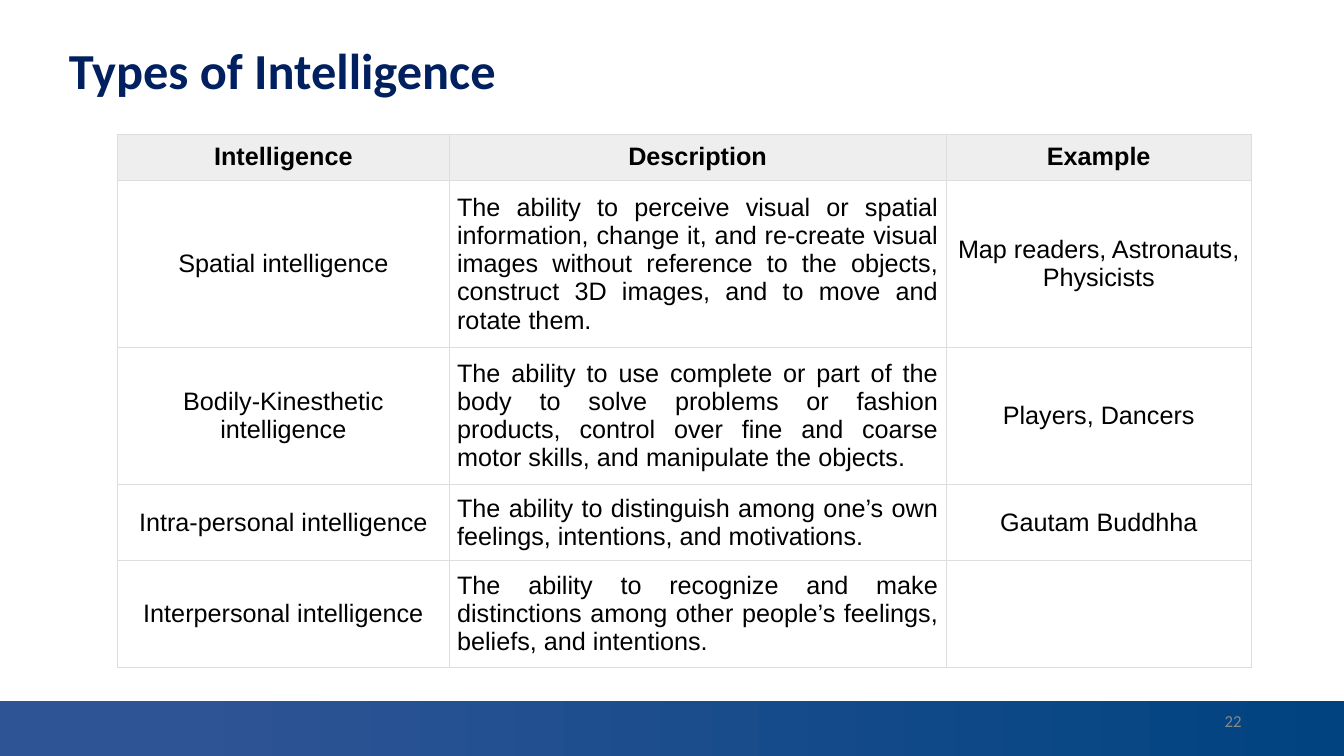
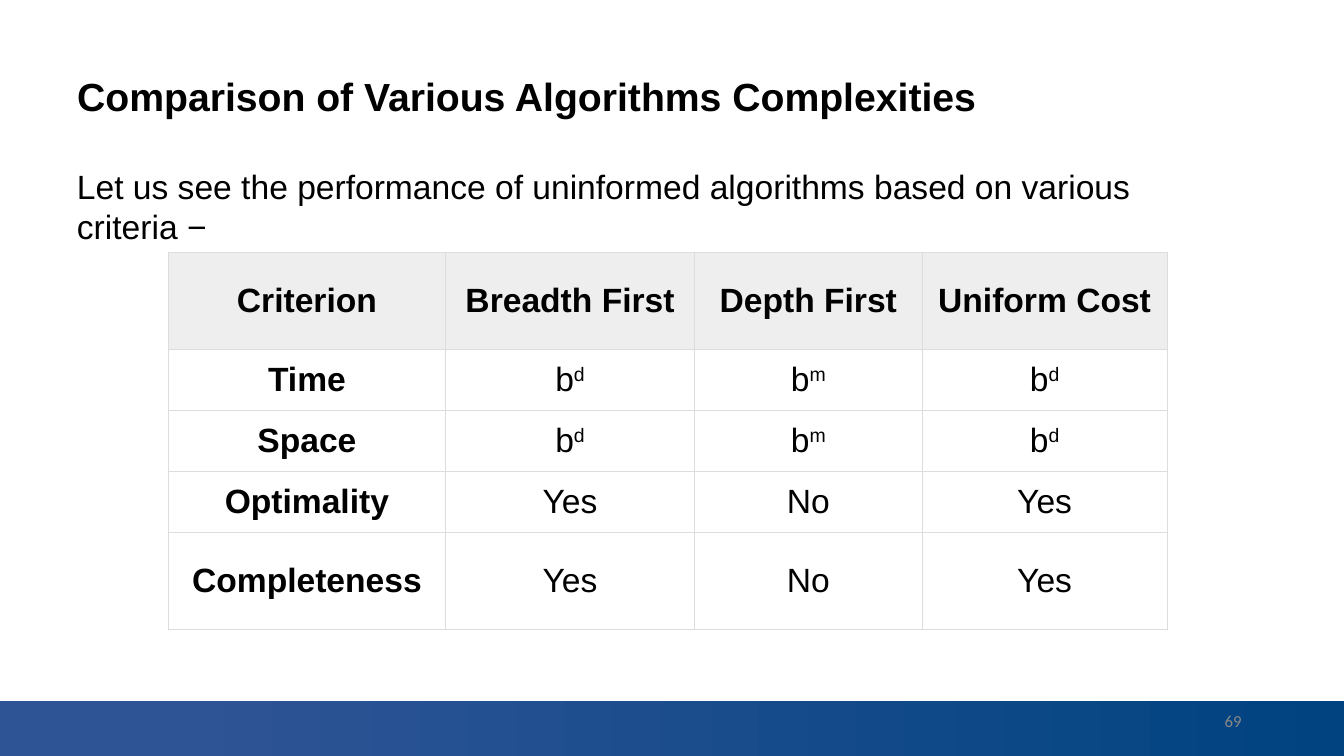
import pptx
import pptx.util
import pptx.dml.color
import pptx.enum.shapes
import pptx.enum.text
import pptx.oxml
import pptx.oxml.ns

Cm, Pt = pptx.util.Cm, pptx.util.Pt
RGBColor = pptx.dml.color.RGBColor
ALIGN = pptx.enum.text.PP_ALIGN
ANCHOR = pptx.enum.text.MSO_ANCHOR

# Shared look
BLACK = RGBColor(0x00, 0x00, 0x00)
NAVY = RGBColor(0x00, 0x20, 0x60)
GREY = RGBColor(0x88, 0x88, 0x88)
HEADER_FILL = RGBColor(0xEE, 0xEE, 0xEE)
BORDER = RGBColor(0xDD, 0xDD, 0xDD)
BAND_LEFT = RGBColor(0x2F, 0x54, 0x96)
BAND_RIGHT = RGBColor(0x00, 0x43, 0x80)
PAGE_WIDTH, PAGE_HEIGHT = Cm(33.87), Cm(19.05)
BAND_TOP = Cm(17.66)
CELL_MARGIN = Cm(0.2)
BODY_FONT = "Arial"

# Content; "b^d" means b with a raised d, lengths are in centimetres
INTELLIGENCE = {
    "number": "22",
    "title": "Types of Intelligence",
    "title_box": (1.48, 0, 29.2, 3.68),
    "title_font": ("Calibri", 36, NAVY, True),
    "title_spacing": 0.9,
    "table_at": (2.96, 3.38),
    "columns": (8.36, 12.52, 7.7),
    "rows": (1.13, 3.98, 3.25, 1.86, 2.54),
    "size": 18,
    "justified_column": 1,
    "bold_column": None,
    "cells": [
        ("Intelligence", "Description", "Example"),
        ("Spatial intelligence",
         "The ability to perceive visual or spatial information, change it, "
         "and re-create visual images without reference to the objects, "
         "construct 3D images, and to move and rotate them.",
         "Map readers, Astronauts, Physicists"),
        ("Bodily-Kinesthetic intelligence",
         "The ability to use complete or part of the body to solve problems "
         "or fashion products, control over fine and coarse motor skills, "
         "and manipulate the objects.",
         "Players, Dancers"),
        ("Intra-personal intelligence",
         "The ability to distinguish among one’s own feelings, intentions, "
         "and motivations.",
         "Gautam Buddhha"),
        ("Interpersonal intelligence",
         "The ability to recognize and make distinctions among other "
         "people’s feelings, beliefs, and intentions.",
         ""),
    ],
}
COMPLEXITY = {
    "number": "69",
    "title": "Comparison of Various Algorithms Complexities",
    "title_box": (1.69, 1.67, 29, 1.5),
    "title_font": (BODY_FONT, 28, BLACK, True),
    "title_spacing": 1.0,
    "intro": "Let us see the performance of uninformed algorithms based on "
             "various criteria −",
    "intro_box": (1.69, 4.06, 29, 2.3),
    "table_at": (4.24, 6.35),
    "columns": (6.99, 6.27, 5.74, 6.17),
    "rows": (2.45, 1.54, 1.54, 1.54, 2.45),
    "size": 24,
    "justified_column": None,
    "bold_column": 0,
    "cells": [
        ("Criterion", "Breadth First", "Depth First", "Uniform Cost"),
        ("Time", "b^d", "b^m", "b^d"),
        ("Space", "b^d", "b^m", "b^d"),
        ("Optimality", "Yes", "No", "Yes"),
        ("Completeness", "Yes", "No", "Yes"),
    ],
}


def style(para, name, size, color, bold=False, align=ALIGN.LEFT):
    para.alignment = align
    para.font.name, para.font.size, para.font.bold = name, Pt(size), bold
    para.font.color.rgb = color


def add_label(page, text, place, *font, align=ALIGN.LEFT, anchor=ANCHOR.TOP):
    box = page.shapes.add_textbox(*map(Cm, place))
    box.text_frame.word_wrap = True
    box.text_frame.vertical_anchor = anchor
    box.text_frame.text = text
    style(box.text_frame.paragraphs[0], *font, align=align)


def add_band(page):
    band = page.shapes.add_shape(
        pptx.enum.shapes.MSO_SHAPE.RECTANGLE,
        0, BAND_TOP, PAGE_WIDTH, PAGE_HEIGHT - BAND_TOP)
    band.shadow.inherit = False
    band.line.fill.background()
    band.fill.gradient()
    band.fill.gradient_angle = 0
    stops = zip(band.fill.gradient_stops,
                ((0.13, BAND_LEFT), (1, BAND_RIGHT)))
    for stop, (position, color) in stops:
        stop.position, stop.color.rgb = position, color


def add_borders(cell):
    properties = cell._tc.get_or_add_tcPr()
    for side in ("lnL", "lnR", "lnT", "lnB"):
        properties.append(pptx.oxml.parse_xml(
            f'<a:{side} {pptx.oxml.ns.nsdecls("a")} w="{Pt(0.75)}">'
            f'<a:solidFill><a:srgbClr val="{BORDER}"/></a:solidFill>'
            f'</a:{side}>'))


def fill_cell(cell, text, size, bold, align, header):
    add_borders(cell)
    if header:
        cell.fill.solid()
        cell.fill.fore_color.rgb = HEADER_FILL
    else:
        cell.fill.background()
    cell.vertical_anchor = ANCHOR.MIDDLE
    cell.margin_left = cell.margin_right = CELL_MARGIN
    cell.margin_top = cell.margin_bottom = CELL_MARGIN
    if not text:
        return
    para = cell.text_frame.paragraphs[0]
    style(para, BODY_FONT, size, BLACK, bold, align)
    for index, part in enumerate(text.split("^")):
        span = para.add_run()
        span.text = part
        # Row heights are measured with the font of the run
        span.font.name, span.font.size = BODY_FONT, Pt(size)
        if index:
            span._r.get_or_add_rPr().set("baseline", "30000")


def add_grid(page, content):
    columns, rows = content["columns"], content["rows"]
    left, top = content["table_at"]
    grid = page.shapes.add_table(
        len(rows), len(columns), Cm(left), Cm(top),
        Cm(sum(columns)), Cm(sum(rows))).table
    grid.first_row = grid.horz_banding = False
    for column, width in zip(grid.columns, columns):
        column.width = Cm(width)
    for row, height in zip(grid.rows, rows):
        row.height = Cm(height)
    for r, texts in enumerate(content["cells"]):
        for c, text in enumerate(texts):
            header = r == 0
            justified = c == content["justified_column"] and not header
            fill_cell(grid.cell(r, c), text, content["size"],
                      header or c == content["bold_column"],
                      ALIGN.JUSTIFY if justified else ALIGN.CENTER, header)


def add_page(deck, layout, content):
    page = deck.slides.add_slide(layout)
    add_band(page)
    # Title
    title = page.shapes.title
    title.left, title.top, title.width, title.height = map(
        Cm, content["title_box"])
    title.text_frame.text = content["title"]
    title.text_frame.auto_size = pptx.enum.text.MSO_AUTO_SIZE.NONE
    title.text_frame.vertical_anchor = ANCHOR.MIDDLE
    para = title.text_frame.paragraphs[0]
    para.line_spacing = content["title_spacing"]
    style(para, *content["title_font"])
    # Page number, introduction and table
    add_label(page, content["number"], (23.92, 17.66, 7.62, 1.02),
              "Calibri", 12, GREY, align=ALIGN.RIGHT, anchor=ANCHOR.MIDDLE)
    if "intro" in content:
        add_label(page, content["intro"], content["intro_box"],
                  BODY_FONT, 24, BLACK)
    add_grid(page, content)


def main():
    deck = pptx.Presentation()
    deck.slide_width, deck.slide_height = PAGE_WIDTH, PAGE_HEIGHT
    for content in (INTELLIGENCE, COMPLEXITY):
        add_page(deck, deck.slide_layouts[5], content)
    deck.save("out.pptx")


if __name__ == "__main__":
    main()
